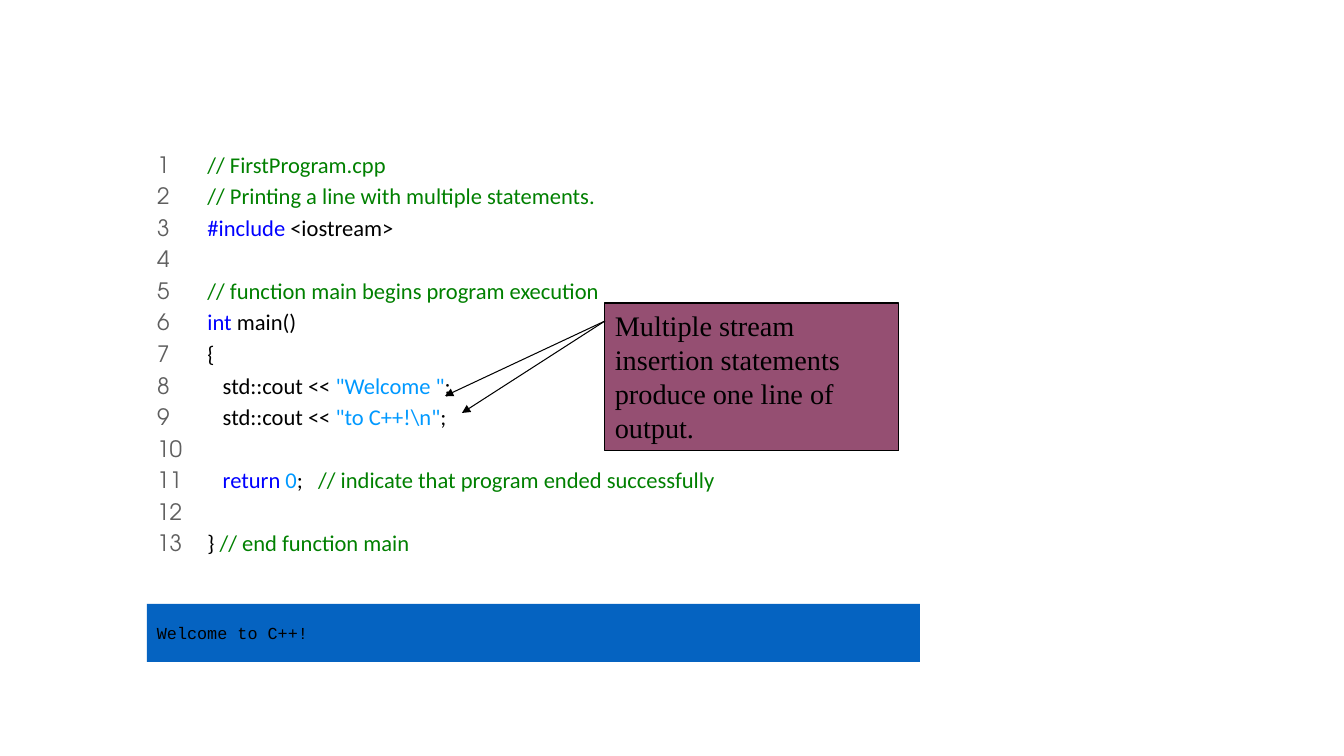
import dataclasses

import lxml.etree
import pptx
import pptx.dml.color
import pptx.enum.dml
import pptx.enum.shapes
import pptx.enum.text
import pptx.oxml.ns
import pptx.shapes.autoshape
import pptx.shapes.connector
import pptx.shapes.group
import pptx.text.text
import pptx.util

EMU_PER_PX = 914400 / 100.8
RGBColor = pptx.dml.color.RGBColor
BLACK = RGBColor(0x00, 0x00, 0x00)
NUMBER_GREY = RGBColor(0x5F, 0x5F, 0x5F)
COMMENT_GREEN = RGBColor(0x00, 0x80, 0x00)
KEYWORD_BLUE = RGBColor(0x00, 0x00, 0xFF)
LITERAL_BLUE = RGBColor(0x00, 0x99, 0xFF)
OUTPUT_BLUE = RGBColor(0x05, 0x63, 0xC1)
CALLOUT_PURPLE = RGBColor(0x95, 0x4F, 0x72)


@dataclasses.dataclass(frozen=True)
class Token:
    text: str
    color: RGBColor
    font: str = "Calibri"


@dataclasses.dataclass(frozen=True)
class Panel:
    left: int
    top: int
    width: int
    height: int
    text: str
    font: str
    size: float
    fill: RGBColor
    anchor: pptx.enum.text.MSO_ANCHOR
    outlined: bool = False


@dataclasses.dataclass(frozen=True)
class Point:
    x: int
    y: int


CODE_LINES = [
    [Token("// FirstProgram.cpp", COMMENT_GREEN)],
    [Token("// Printing a line with multiple statements.", COMMENT_GREEN)],
    [Token("#include", KEYWORD_BLUE), Token(" <iostream>", BLACK)],
    [],
    [Token("// function main begins program execution", COMMENT_GREEN)],
    [Token("int", KEYWORD_BLUE), Token(" main()", BLACK)],
    [Token("{", BLACK)],
    [Token("   std::cout << ", BLACK), Token('"Welcome "', LITERAL_BLUE), Token(";", BLACK)],
    [Token("   std::cout << ", BLACK), Token('"to C++!\\n"', LITERAL_BLUE), Token(";", BLACK)],
    [],
    [
        Token("   return ", KEYWORD_BLUE),
        Token("0", LITERAL_BLUE),
        Token(";   ", BLACK),
        Token("// indicate that program ended successfully", COMMENT_GREEN),
    ],
    [],
    [Token("}", BLACK), Token(" // end function main", COMMENT_GREEN)],
]
CODE_INDENT = 50

OUTPUT = Panel(147, 604, 773, 58, "Welcome to C++!", "Courier New", 12,
               OUTPUT_BLUE, pptx.enum.text.MSO_ANCHOR.MIDDLE)
CALLOUT = Panel(605, 303, 294, 148,
                "Multiple stream insertion statements produce one line of output.",
                "Times New Roman", 20.2, CALLOUT_PURPLE,
                pptx.enum.text.MSO_ANCHOR.TOP, outlined=True)
ARROW_START = Point(605, 321)
ARROW_ENDS = [Point(445, 396), Point(462, 413)]


def px(length: int) -> pptx.util.Emu:
    return pptx.util.Emu(round(length * EMU_PER_PX))


def add_tab_stop(paragraph: pptx.text.text._Paragraph, position: int) -> None:
    qn = pptx.oxml.ns.qn
    properties = paragraph._p.get_or_add_pPr()
    tab_list = lxml.etree.SubElement(properties, qn("a:tabLst"))
    lxml.etree.SubElement(tab_list, qn("a:tab"), pos=str(px(position)), algn="l")


def add_token(paragraph: pptx.text.text._Paragraph, token: Token) -> None:
    run = paragraph.add_run()
    run.text = token.text
    run.font.name = token.font
    run.font.size = pptx.util.Pt(16.1)
    run.font.color.rgb = token.color


def fill_listing(text_frame: pptx.text.text.TextFrame) -> None:
    """Write the numbered code, with the code aligned at one tab stop."""
    text_frame.word_wrap = True
    text_frame.auto_size = pptx.enum.text.MSO_AUTO_SIZE.NONE
    text_frame.vertical_anchor = pptx.enum.text.MSO_ANCHOR.TOP
    for number, tokens in enumerate(CODE_LINES, start=1):
        paragraph = text_frame.paragraphs[0] if number == 1 else text_frame.add_paragraph()
        add_tab_stop(paragraph, CODE_INDENT)
        paragraph.alignment = pptx.enum.text.PP_ALIGN.LEFT
        paragraph.line_spacing = 0.7
        paragraph.space_before = pptx.util.Pt(0 if number == 1 else 9)
        label = f"{number}\t" if tokens else str(number)
        add_token(paragraph, Token(label, NUMBER_GREY, "TeX Gyre Adventor"))
        for token in tokens:
            add_token(paragraph, token)


def add_panel(shapes, panel: Panel) -> pptx.shapes.autoshape.Shape:
    shape = shapes.add_shape(
        pptx.enum.shapes.MSO_SHAPE.RECTANGLE,
        px(panel.left), px(panel.top), px(panel.width), px(panel.height),
    )
    shape.shadow.inherit = False
    shape.fill.solid()
    shape.fill.fore_color.rgb = panel.fill
    if panel.outlined:
        shape.line.color.rgb = BLACK
        shape.line.width = pptx.util.Pt(0.75)
    else:
        shape.line.fill.background()
    text_frame = shape.text_frame
    text_frame.word_wrap = True
    text_frame.vertical_anchor = panel.anchor
    text_frame.text = panel.text
    paragraph = text_frame.paragraphs[0]
    paragraph.alignment = pptx.enum.text.PP_ALIGN.LEFT
    font = paragraph.runs[0].font
    font.name = panel.font
    font.size = pptx.util.Pt(panel.size)
    font.color.rgb = BLACK
    return shape


def add_arrow(
    group: pptx.shapes.group.GroupShape, start: Point, end: Point
) -> pptx.shapes.connector.Connector:
    arrow = group.shapes.add_connector(
        pptx.enum.shapes.MSO_CONNECTOR.STRAIGHT,
        px(start.x), px(start.y), px(end.x), px(end.y),
    )
    arrow.line.color.rgb = BLACK
    arrow.line.width = pptx.util.Pt(0.75)
    qn = pptx.oxml.ns.qn
    lxml.etree.SubElement(arrow.line._get_or_add_ln(), qn("a:tailEnd"), type="triangle")
    lxml.etree.SubElement(arrow._element.spPr, qn("a:effectLst"))
    return arrow


def main() -> None:
    presentation = pptx.Presentation()
    presentation.slide_width = px(1344)
    presentation.slide_height = px(756)
    slide = presentation.slides.add_slide(presentation.slide_layouts[0])

    title = slide.shapes.title
    title._element.getparent().remove(title._element)

    listing = slide.placeholders[1]
    listing.left, listing.top = px(147), px(153)
    listing.width, listing.height = px(806), px(449)
    fill_listing(listing.text_frame)

    output = add_panel(slide.shapes, OUTPUT)
    output.text_frame.margin_top = output.text_frame.margin_bottom = px(20)

    callout_group = slide.shapes.add_group_shape()
    add_panel(callout_group.shapes, CALLOUT)
    for end in ARROW_ENDS:
        add_arrow(callout_group, ARROW_START, end)

    presentation.save("out.pptx")


if __name__ == "__main__":
    main()
